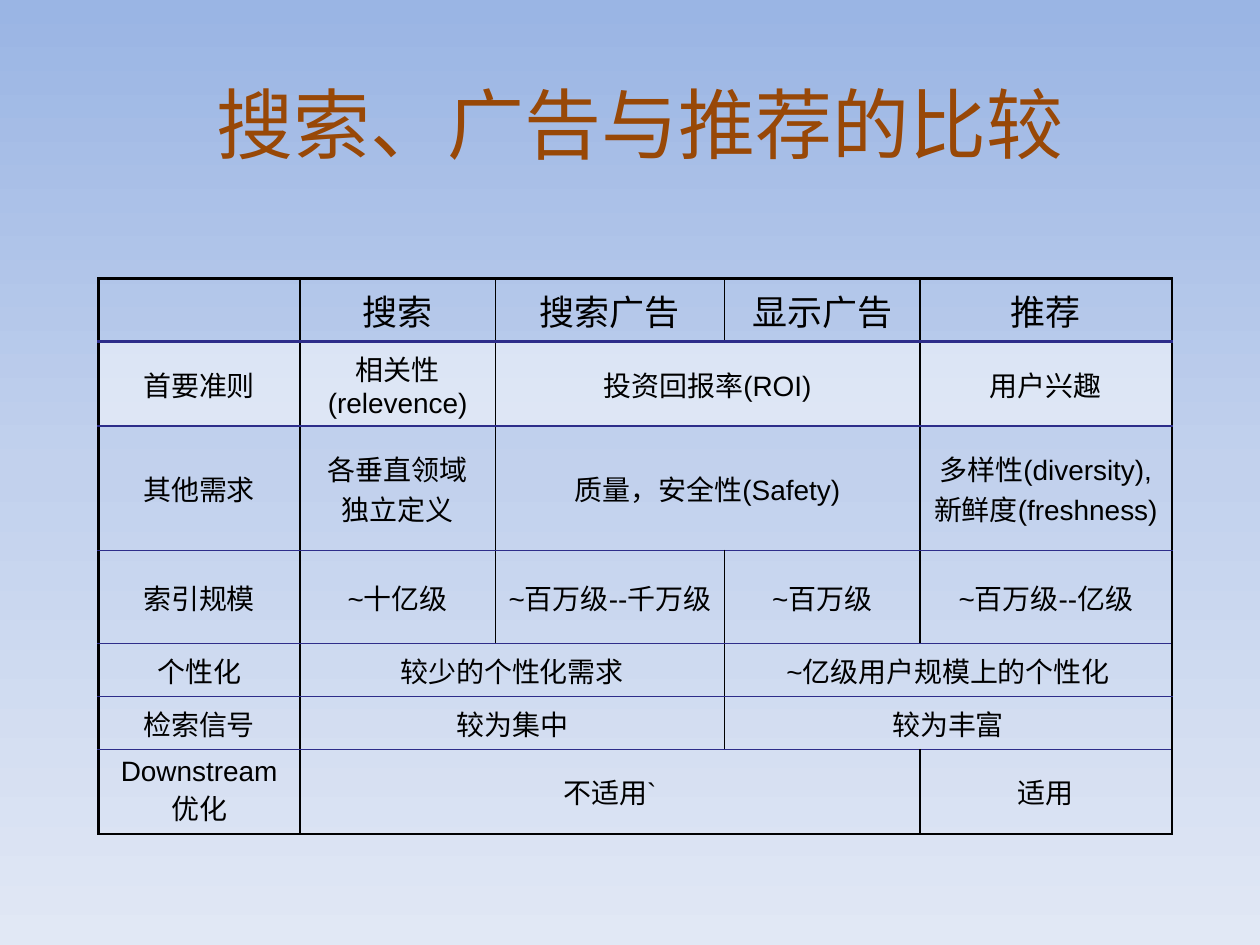
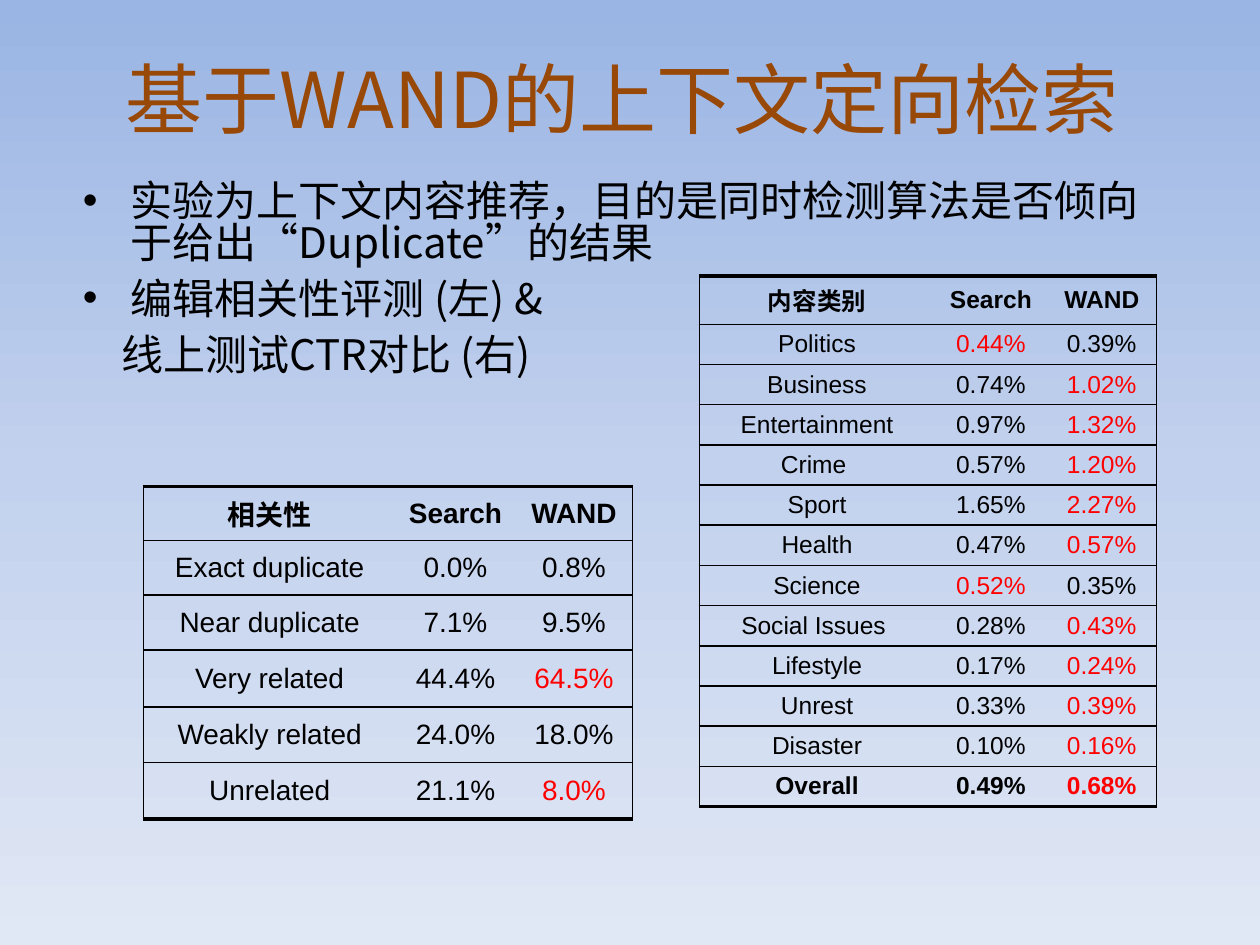
from copy import deepcopy
from dataclasses import dataclass
from lxml.etree import SubElement
from pptx import Presentation
from pptx.dml.color import RGBColor
from pptx.enum.text import MSO_ANCHOR, MSO_AUTO_SIZE, PP_ALIGN
from pptx.oxml.ns import qn
from pptx.util import Pt


@dataclass(frozen=True)
class Theme:
    sky: tuple = ("9AB5E4", "C2D1ED", "E1E8F5")
    title: str = "984807"
    ink: str = "000000"
    navy: str = "2D2D8A"
    red: str = "FF0000"
    white: str = "FFFFFF"
    cjk: str = "Noto Sans CJK SC"
    latin: str = "Arial"
    title_size: int = 44
    body_size: int = 24
    head_size: int = 20
    cell_size: int = 16
    small_size: int = 14


T = Theme()

COMPARISON = {
    "title": "搜索、广告与推荐的比较",
    "title_box": (38.2, 30.2, 655.9, 69.8),
    "at": (56.2, 159.1),
    "height": 257,
    "cols": (115.2, 111.6, 131, 111.6, 144),
    "rows": (36, 44.6, 44.6, 26.6, 28.1, 28.8, 44.6),
    "cells": [
        ["", "搜索", "搜索广告", "显示广告", "推荐"],
        ["首要准则", "相关性(relevence)", "投资回报率(ROI)", None, "用户兴趣"],
        ["其他需求", "各垂直领域\n独立定义", "质量，安全性(Safety)", None,
         "多样性(diversity), 新鲜度(freshness)"],
        ["索引规模", "~十亿级", "~百万级--千万级", "~百万级", "~百万级--亿级"],
        ["个性化", "较少的个性化需求", None, "~亿级用户规模上的个性化", None],
        ["检索信号", "较为集中", None, "较为丰富", None],
        ["Downstream 优化", "不适用`", None, None, "适用"],
    ],
}

WAND_TITLE = "基于WAND的上下文定向检索"
WAND_TITLE_BOX = (38.2, 20.9, 635, 69.8)
NOTES_BOX = (40.3, 101.5, 629.3, 129.6)
NOTES = [
    ("•", "实验为上下文内容推荐，目的是同时检测算法是否倾向于给出“Duplicate”的结果"),
    ("•", "编辑相关性评测 (左) &"),
    ("", "线上测试CTR对比 (右)"),
]
RELEVANCE = {
    "at": (82.1, 277.9),
    "height": 190.8,
    "cols": (144, 68.4, 67),
    "rows": (31, 31, 31.7, 32.4, 31.7, 32.4),
    "size": T.cell_size,
    "bold_rows": (0,),
    "cells": [
        ["相关性", "Search", "WAND"],
        ["Exact duplicate", "0.0%", "0.8%"],
        ["Near duplicate", "7.1%", "9.5%"],
        ["Very related", "44.4%", "!64.5%"],
        ["Weakly related", "24.0%", "18.0%"],
        ["Unrelated", "21.1%", "!8.0%"],
    ],
}
CTR = {
    "at": (399.6, 157.7),
    "height": 311.8,
    "cols": (134.6, 64.1, 62.6),
    "rows": (19.4,) * 13,
    "size": T.small_size,
    "bold_rows": (0, 12),
    "cells": [
        ["内容类别", "Search", "WAND"],
        ["Politics", "!0.44%", "0.39%"],
        ["Business", "0.74%", "!1.02%"],
        ["Entertainment", "0.97%", "!1.32%"],
        ["Crime ", "0.57%", "!1.20%"],
        ["Sport", "1.65%", "!2.27%"],
        ["Health", "0.47%", "!0.57%"],
        ["Science", "!0.52%", "0.35%"],
        ["Social Issues ", "0.28%", "!0.43%"],
        ["Lifestyle", "0.17%", "!0.24%"],
        ["Unrest", "0.33%", "!0.39%"],
        ["Disaster", "0.10%", "!0.16%"],
        ["Overall", "0.49%", "!0.68%"],
    ],
}


def rgb(color):
    return RGBColor.from_string(color)


def add_run(p, text, size, color, font, bold=False):
    r = p.add_run()
    r.text = text
    f = r.font
    f.size, f.bold, f.name = Pt(size), bold, font
    f.color.rgb = rgb(color)
    ea = deepcopy(r._r.rPr.find(qn("a:latin")))
    ea.tag = qn("a:ea")
    ea.set("typeface", T.cjk)
    r._r.rPr.append(ea)


def paint_background(master):
    fill = master.background.fill
    fill.gradient()
    fill.gradient_angle = 270
    stops = master.element.find(".//" + qn("a:gsLst"))
    stops.append(deepcopy(stops[0]))
    for i, (stop, color) in enumerate(zip(fill.gradient_stops, T.sky)):
        stop.color.rgb = rgb(color)
        stop.position = i / 2


def add_slide(prs, title, box, anchor):
    s = prs.slides.add_slide(prs.slide_layouts[5])
    sp = s.shapes.title
    sp.left, sp.top, sp.width, sp.height = map(Pt, box)
    tf = sp.text_frame
    tf.auto_size = MSO_AUTO_SIZE.NONE
    tf.word_wrap = True
    tf.vertical_anchor = anchor
    p = tf.paragraphs[0]
    p.alignment = PP_ALIGN.CENTER
    add_run(p, title, T.title_size, T.title, T.cjk)
    return s


def set_borders(cell, borders):
    tcPr = cell._tc.get_or_add_tcPr()
    for i, (side, line) in enumerate(zip("LRTB", borders)):
        ln = SubElement(tcPr, qn(f"a:ln{side}"))
        tcPr.insert(i, ln)
        if line is None:
            ln.set("w", "0")
            SubElement(ln, qn("a:noFill"))
            continue
        color, width = line
        ln.set("w", str(Pt(width)))
        SubElement(SubElement(ln, qn("a:solidFill")), qn("a:srgbClr")).set("val", color)


def add_grid(s, spec, borders_at, style_at):
    cells, cols, rows = spec["cells"], spec["cols"], spec["rows"]
    frame = s.shapes.add_table(len(rows), len(cols), *map(Pt, spec["at"]),
                               Pt(sum(cols)), Pt(spec["height"]))
    table = frame.table
    table.first_row = table.horz_banding = False
    for col, width in zip(table.columns, cols):
        col.width = Pt(width)
    for row, height in zip(table.rows, rows):
        row.height = Pt(height)
    frame.height = Pt(spec["height"])
    for i, line in enumerate(cells):
        for j, text in enumerate(line):
            cell = table.cell(i, j)
            cell.fill.background()
            set_borders(cell, borders_at(i, j))
            if text is None:
                continue
            cell.vertical_anchor = MSO_ANCHOR.MIDDLE
            size, font, bold = style_at(i)
            color = T.red if text.startswith("!") else T.ink
            for k, part in enumerate(text.lstrip("!").split("\n")):
                tf = cell.text_frame
                p = tf.add_paragraph() if k else tf.paragraphs[0]
                p.alignment = PP_ALIGN.CENTER
                if part:
                    add_run(p, part, size, color, font, bold)
            end = j + 1
            while end < len(line) and line[end] is None:
                end += 1
            if end > j + 1:
                cell.merge(table.cell(i, end - 1))
    return table


def add_comparison(s):
    last_row, last_col = len(COMPARISON["rows"]) - 1, len(COMPARISON["cols"]) - 1

    def rule(i):
        if i in (0, last_row + 1):
            return T.ink, 1.5
        return T.navy, 2 if i == 1 else 1

    def borders(i, j):
        return ((T.ink, 1.5 if j == 0 else 1), (T.ink, 1.5 if j == last_col else 1),
                rule(i), rule(i + 1))

    def style(i):
        return (T.cell_size, T.latin, False) if i else (T.head_size, T.cjk, False)

    table = add_grid(s, COMPARISON, borders, style)
    for j in range(last_col + 1):
        fill = table.cell(1, j).fill
        fill.solid()
        fill.fore_color.rgb = rgb(T.white)
        clr = table.cell(1, j)._tc.tcPr.find(qn("a:solidFill"))[0]
        SubElement(clr, qn("a:alpha")).set("val", "50000")


def add_results(s, spec):
    last_row, last_col = len(spec["rows"]) - 1, len(spec["cols"]) - 1
    thin, thick = (T.ink, 1), (T.ink, 2.25)

    def borders(i, j):
        return (thin if j == 0 else None, thin if j == last_col else None,
                thick if i == 0 else thin, thick if i == last_row else thin)

    add_grid(s, spec, borders, lambda i: (spec["size"], T.latin, i in spec["bold_rows"]))


def add_notes(s):
    tf = s.shapes.add_textbox(*map(Pt, NOTES_BOX)).text_frame
    tf.word_wrap = True
    for i, (bullet, text) in enumerate(NOTES):
        p = tf.add_paragraph() if i else tf.paragraphs[0]
        p.line_spacing = 0.82
        p.space_before = Pt(8.4 if i else 0)
        pPr = p._p.get_or_add_pPr()
        pPr.set("marL", str(Pt(27.4 if bullet else 22)))
        pPr.set("indent", str(Pt(-27.4 if bullet else 0)))
        if bullet:
            SubElement(pPr, qn("a:buFont")).set("typeface", T.latin)
            SubElement(pPr, qn("a:buChar")).set("char", bullet)
        else:
            SubElement(pPr, qn("a:buNone"))
        add_run(p, text, T.body_size, T.ink, T.cjk)


def main():
    prs = Presentation()
    prs.slide_width, prs.slide_height = Pt(720), Pt(540)
    paint_background(prs.slide_master)

    s = add_slide(prs, COMPARISON["title"], COMPARISON["title_box"], MSO_ANCHOR.BOTTOM)
    add_comparison(s)

    s = add_slide(prs, WAND_TITLE, WAND_TITLE_BOX, MSO_ANCHOR.MIDDLE)
    add_results(s, RELEVANCE)
    add_results(s, CTR)
    add_notes(s)
    prs.save("out.pptx")


if __name__ == "__main__":
    main()
